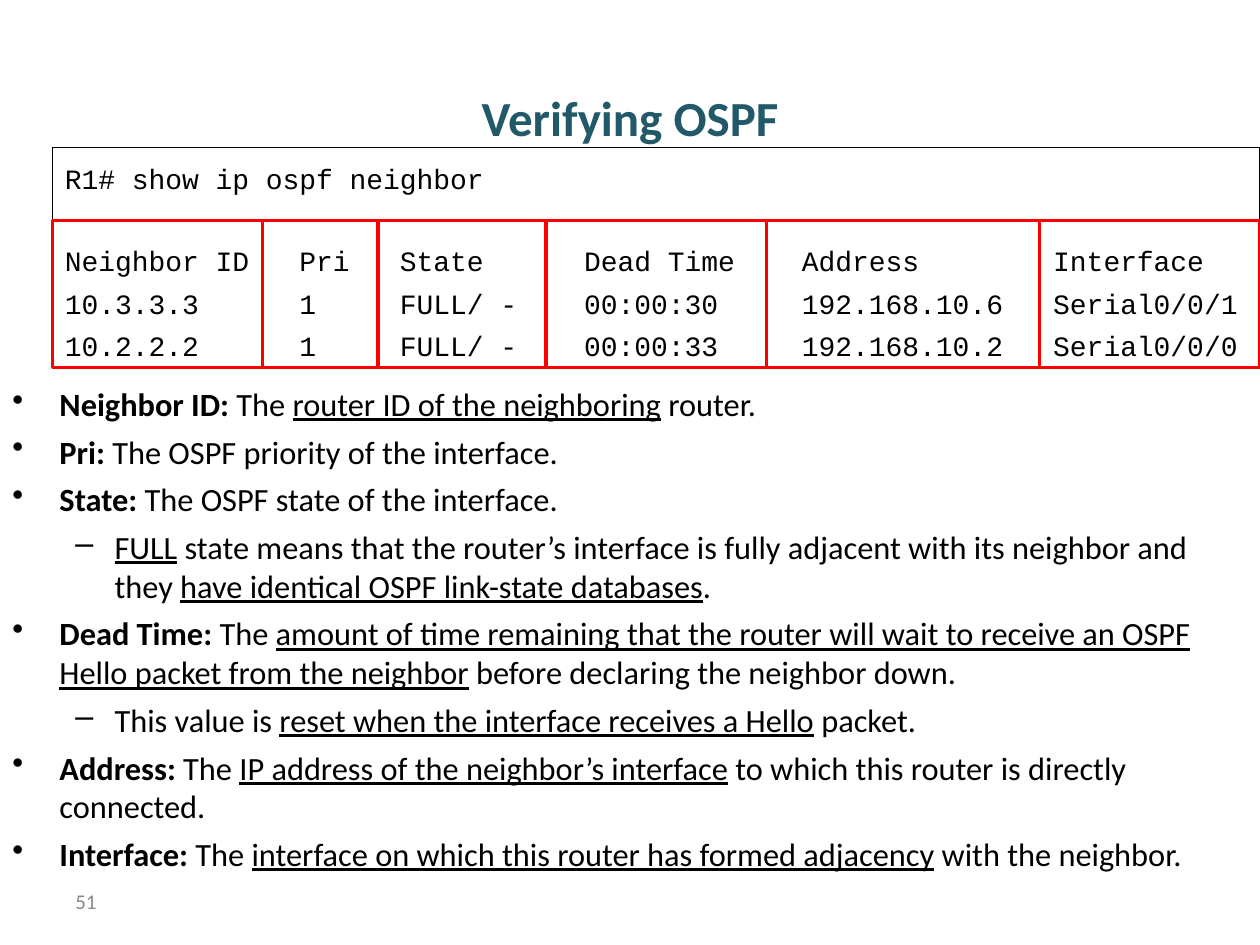
"""Build the slide that explains the columns of the OSPF neighbor table."""
from itertools import pairwise

from pptx import Presentation, util as u
from pptx.dml.color import RGBColor
from pptx.enum import shapes, text
from pptx.oxml.ns import qn


def colour(value):
    return RGBColor.from_string(value)


def style(target, values):
    for name, value in values.items():
        if name == "color":
            target.color.rgb = colour(value)
        else:
            setattr(target, name, value)


prs = Presentation()
prs.slide_width, prs.slide_height = u.Cm(25.4), u.Cm(19.05)
slide = prs.slides.add_slide(prs.slide_layouts[5])

heading = slide.shapes.title
style(heading, {"left": u.Cm(1.27), "top": u.Cm(0.76), "width": u.Cm(22.86), "height": u.Cm(3.18)})
heading.text_frame.text = "Verifying OSPF"
heading.text_frame.vertical_anchor = text.MSO_ANCHOR.MIDDLE
heading.text_frame.paragraphs[0].alignment = text.PP_ALIGN.CENTER
style(heading.text_frame.paragraphs[0].font,
      {"name": "Calibri", "size": u.Pt(28), "bold": True, "color": "215968"})

page_number = slide.shapes.add_textbox(u.Cm(1.27), u.Cm(17.65), u.Cm(5.92), u.Cm(1.02)).text_frame
page_number.text = "51"
style(page_number, {"word_wrap": True, "vertical_anchor": text.MSO_ANCHOR.MIDDLE})
style(page_number.paragraphs[0].font, {"name": "Calibri", "size": u.Pt(12), "color": "898989"})

definitions = [
    (0, "Neighbor ID: ", "The _router ID of the neighboring_ router."),
    (0, "Pri: ", "The OSPF priority of the interface."),
    (0, "State: ", "The OSPF state of the interface."),
    (1, "", "_FULL_ state means that the router’s interface is fully adjacent with its neighbor "
            "and they _have identical OSPF link-state databases_."),
    (0, "Dead Time: ", "The _amount of time remaining that the router will wait to receive an OSPF "
                       "Hello packet from the neighbor_ before declaring the neighbor down."),
    (1, "", "This value is _reset when the interface receives a Hello_ packet."),
    (0, "Address: ", "The _IP address of the neighbor’s interface_ to which this router is "
                     "directly connected."),
    (0, "Interface: ", "The _interface on which this router has formed adjacency_ with the neighbor."),
]
bullets = [("•", 0.95, -0.95), ("–", 2.06, -0.79)]
body_font = {"name": "Calibri", "size": u.Pt(18.5), "color": "000000"}

explanation = slide.shapes.add_textbox(0, u.Cm(7.62), u.Cm(25.4), u.Cm(11.43)).text_frame
explanation.word_wrap = True
for row, (level, label, sentence) in enumerate(definitions):
    paragraph = explanation.add_paragraph() if row else explanation.paragraphs[0]
    paragraph.level = level
    mark, margin, indent = bullets[level]
    properties = paragraph._p.get_or_add_pPr()
    properties.set("marL", str(u.Cm(margin)))
    properties.set("indent", str(u.Cm(indent)))
    bullet = properties.makeelement(qn("a:buChar"), {"char": mark})
    properties.append(bullet)
    paragraph.space_before = u.Pt(5 if row else 0)
    parts = [(label, {"bold": True})]
    parts += [(part, {"underline": bool(i % 2)}) for i, part in enumerate(sentence.split("_"))]
    for words, emphasis in parts:
        if words:
            run = paragraph.add_run()
            run.text = words
            style(run.font, body_font | emphasis)

terminal_lines = [
    ("R1# show ip ospf neighbor", 0),
    ("Neighbor ID   Pri   State      Dead Time    Address        Interface", 28),
    ("10.3.3.3      1     FULL/ -    00:00:30     192.168.10.6   Serial0/0/1", 5),
    ("10.2.2.2      1     FULL/ -    00:00:33     192.168.10.2   Serial0/0/0", 5),
]
column_edges = [1.06, 5.29, 7.62, 11.01, 15.45, 20.96, 25.4]
terminal_top, columns_top, terminal_bottom = 2.97, 4.45, 7.41
frames = [(column_edges[0], column_edges[-1], terminal_top, "000000", 0.75)]
frames += [(left, right, columns_top, "FF0000", 2) for left, right in pairwise(column_edges)]

outlines = []
for left, right, top, line_colour, weight in frames:
    outline = slide.shapes.add_shape(
        shapes.MSO_SHAPE.RECTANGLE,
        u.Cm(left), u.Cm(top), u.Cm(right - left), u.Cm(terminal_bottom - top))
    outline.shadow.inherit = False
    outline.fill.background()
    style(outline.line, {"color": line_colour, "width": u.Pt(weight)})
    outlines.append(outline)

terminal = outlines[0].text_frame
style(terminal, {"word_wrap": True, "vertical_anchor": text.MSO_ANCHOR.TOP, "margin_top": u.Cm(0.28)})
for row, (line, gap) in enumerate(terminal_lines):
    paragraph = terminal.add_paragraph() if row else terminal.paragraphs[0]
    paragraph.text = line
    style(paragraph, {"alignment": text.PP_ALIGN.LEFT, "space_before": u.Pt(gap)})
    style(paragraph.font, {"name": "Courier New", "size": u.Pt(16), "color": "000000"})

prs.save("out.pptx")
